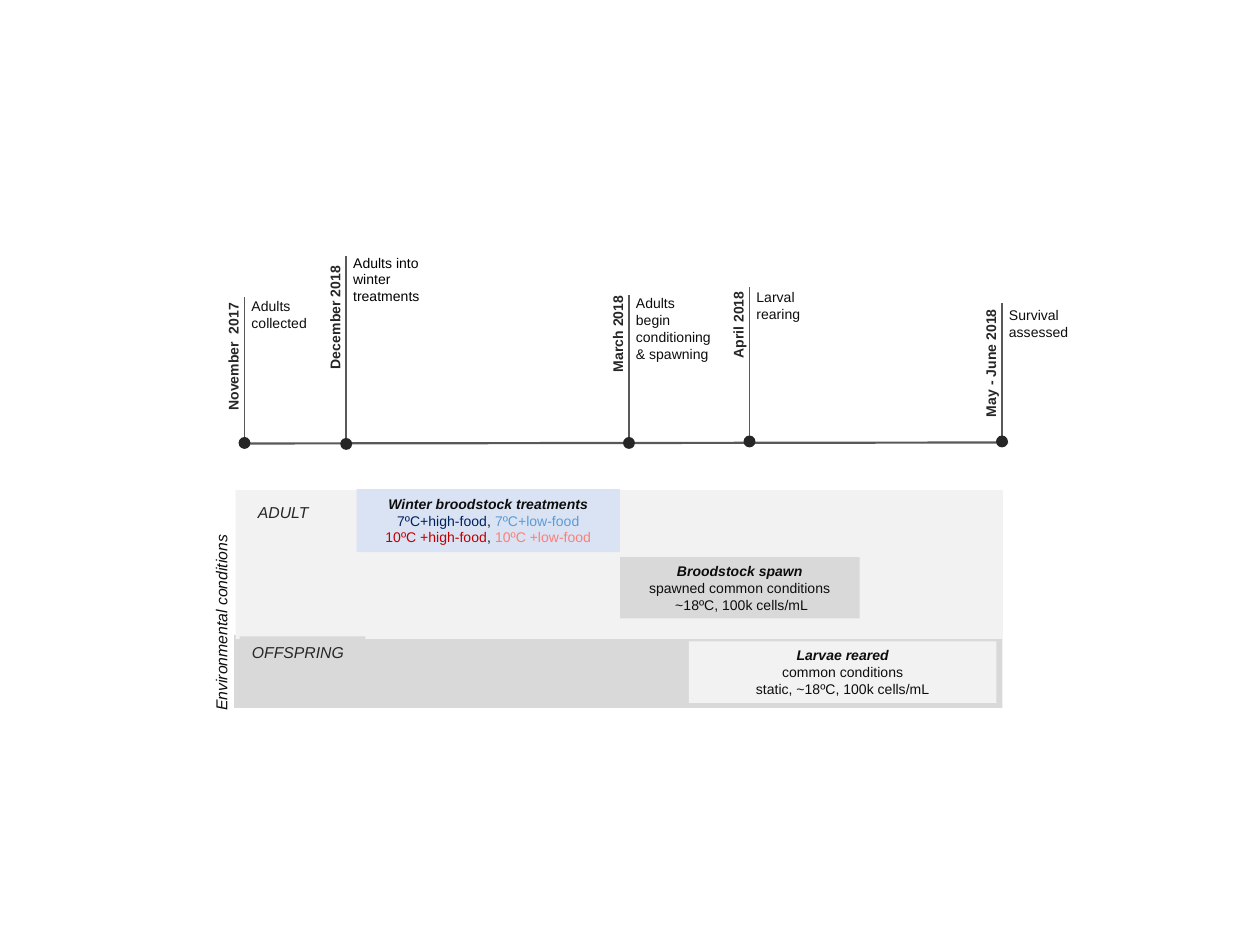
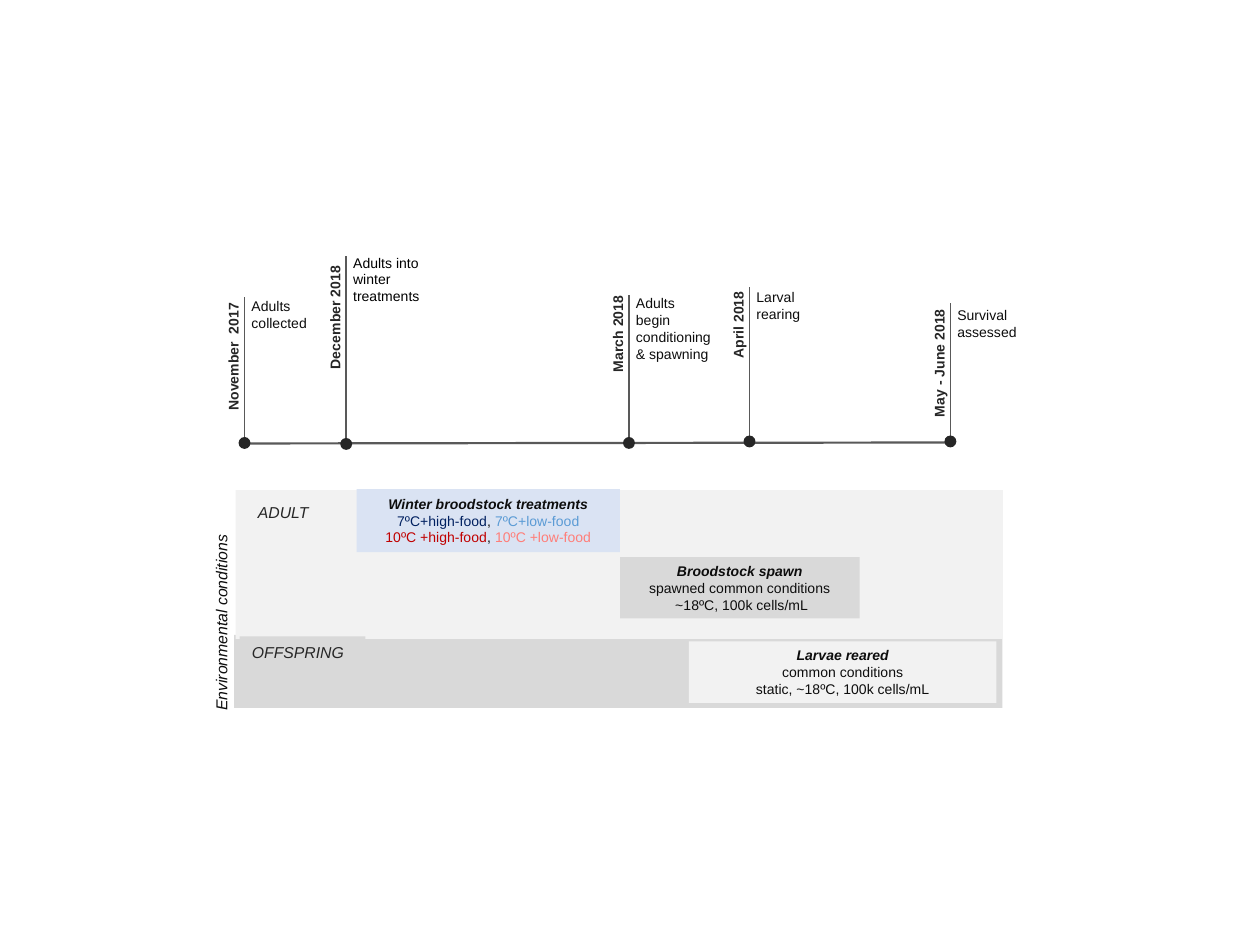
from dataclasses import dataclass
from lxml.etree import SubElement
from pptx import Presentation
from pptx.dml.color import RGBColor
from pptx.enum.shapes import MSO_CONNECTOR, MSO_SHAPE
from pptx.enum.text import MSO_ANCHOR, PP_ALIGN
from pptx.oxml.ns import qn
from pptx.util import Cm, Pt


@dataclass(frozen=True)
class Theme:
    font: str = "Arial"
    small: float = 8
    label: float = 9
    thin: float = 1
    axis: float = 1.25
    black: str = "000000"
    ink: str = "0D0D0D"
    dark: str = "262626"
    rule: str = "595959"
    pale: str = "F2F2F2"
    grey: str = "D9D9D9"
    ice: str = "DAE3F3"
    navy: str = "002060"
    sky: str = "5B9BD5"
    red: str = "C00000"
    rose: str = "FF7E79"


T = Theme()

NOTE = dict(size=T.small, color=T.ink)
HEAD = dict(NOTE, bold=True, italic=True)
DATE = dict(size=T.small, color=T.dark, bold=True)
LABEL = dict(size=T.label, color=T.dark, italic=True)
SIDE = dict(LABEL, color=T.ink)


def tint(color):
    return dict(NOTE, color=color)


def lines(head, *rest):
    return [[(head, HEAD)], *([(line, NOTE)] for line in rest)]


PANELS = [
    ((4.72, 12.8, 15.49, 1.47), T.grey),
    ((4.75, 9.88, 15.47, 3), T.pale),
]

LABELS = [
    ("OFFSPRING", (4.83, 12.83, 2.54, 0.64), T.grey),
    ("ADULT", (4.95, 10.01, 2.08, 0.64), T.pale),
]

STAGES = [
    ((7.19, 9.86, 5.31, 1.27), T.ice, [
        [("Winter broodstock treatments", HEAD)],
        [("7ºC+high-food", tint(T.navy)), (", ", NOTE),
         ("7ºC+low-food", tint(T.sky))],
        [("10ºC +high-food", tint(T.red)), (", ", NOTE),
         ("10ºC +low-food", tint(T.rose))],
    ]),
    ((12.5, 11.23, 4.83, 1.24), T.grey, lines(
        "Broodstock spawn", "spawned common conditions",
        " ~18ºC, 100k cells/mL")),
    ((13.89, 12.93, 6.2, 1.24), T.pale, lines(
        "Larvae reared", "common conditions",
        "static, ~18ºC, 100k cells/mL")),
]

AXIS = "Environmental conditions "
AXIS_BOX = (1.45, 12.19, 6.02, 0.64)

EVENTS = [
    dict(date="November  2017", note="Adults collected", x=4.93, top=5.99,
         dot=8.93, mid=7.19, box=(5.87, 2.06, 2)),
    dict(date="December 2018", note="Adults into winter treatments", x=6.98,
         top=5.16, dot=8.95, mid=6.4, box=(5, 1.96, 3), color=T.black),
    dict(date="March 2018", note="Adults begin conditioning & spawning",
         x=12.68, top=5.94, dot=8.93, mid=6.73, box=(5.82, 2.06, 4)),
    dict(date="April 2018", note="Larval rearing", x=15.11, top=5.79,
         dot=8.9, mid=6.55, box=(5.69, 1.47, 2)),
]
LAST = dict(date="May - June 2018", note="Survival assessed", top=6.1,
            dot=8.9, mid=7.32, box=(6.05, 2.24, 2))

START = (4.83, 8.94)
SLIDES = [
    dict(last=20.2, end=(20.32, 8.92)),
    dict(last=19.16, end=(19.05, 8.92)),
]

DOT = 0.24
DATE_W, DATE_H = 2.95, 0.61
DATE_GAP, NOTE_GAP = 0.22, 0.11
LINE_H, PAD = 0.34, 0.25


def put(item, **values):
    for name, value in values.items():
        setattr(item, name, value)


def write(shape, paras, align, anchor):
    frame = shape.text_frame
    put(frame, word_wrap=True, vertical_anchor=anchor)
    for i, runs in enumerate(paras):
        para = frame.add_paragraph() if i else frame.paragraphs[0]
        para.alignment = align
        for text, style in runs:
            run = para.add_run()
            run.text = text
            look = dict(style, name=T.font, size=Pt(style["size"]))
            run.font.color.rgb = RGBColor.from_string(look.pop("color"))
            put(run.font, **look)


def block(shapes, box, fill, paras=(), align=PP_ALIGN.CENTER,
          kind=MSO_SHAPE.RECTANGLE):
    shape = shapes.add_shape(kind, *map(Cm, box))
    shape.shadow.inherit = False
    shape.fill.solid()
    shape.fill.fore_color.rgb = RGBColor.from_string(fill)
    shape.line.fill.background()
    write(shape, paras, align, MSO_ANCHOR.MIDDLE)


def words(shapes, box, text, style, align=PP_ALIGN.LEFT, turn=0):
    shape = shapes.add_textbox(*map(Cm, box))
    shape.rotation = turn
    write(shape, [[(text, style)]], align, MSO_ANCHOR.TOP)


def rule(shapes, start, end, width):
    line = shapes.add_connector(
        MSO_CONNECTOR.STRAIGHT, *map(Cm, (*start, *end)))
    line.line.color.rgb = RGBColor.from_string(T.rule)
    line.line.width = Pt(width)
    SubElement(line._element.spPr, qn("a:effectLst"))


def mark(shapes, event):
    x, dot = event["x"], event["dot"]
    top, width, count = event["box"]
    rule(shapes, (x, dot), (x, event["top"]), T.thin)
    words(shapes, (x - NOTE_GAP, top, width, PAD + LINE_H * count),
          event["note"], tint(event.get("color", T.ink)))
    words(shapes, (x - DATE_GAP - DATE_W / 2, event["mid"] - DATE_H / 2,
                   DATE_W, DATE_H),
          event["date"], DATE, PP_ALIGN.CENTER, 270)
    block(shapes, (x - DOT / 2, dot - DOT / 2, DOT, DOT), T.dark,
          kind=MSO_SHAPE.OVAL)


def build(deck, last, end):
    shapes = deck.slides.add_slide(deck.slide_layouts[6]).shapes
    for box, fill in PANELS:
        block(shapes, box, fill)
    for text, box, fill in LABELS:
        block(shapes, box, fill, [[(text, LABEL)]], PP_ALIGN.LEFT)
    for box, fill, paras in STAGES:
        block(shapes, box, fill, paras)
    words(shapes, AXIS_BOX, AXIS, SIDE, PP_ALIGN.CENTER, 270)
    group = shapes.add_group_shape().shapes
    rule(group, START, end, T.axis)
    for event in [*EVENTS, dict(LAST, x=last)]:
        mark(group, event)


def main():
    deck = Presentation()
    put(deck, slide_width=Cm(25.4), slide_height=Cm(19.05))
    for slide in SLIDES:
        build(deck, **slide)
    deck.save("out.pptx")


if __name__ == "__main__":
    main()
